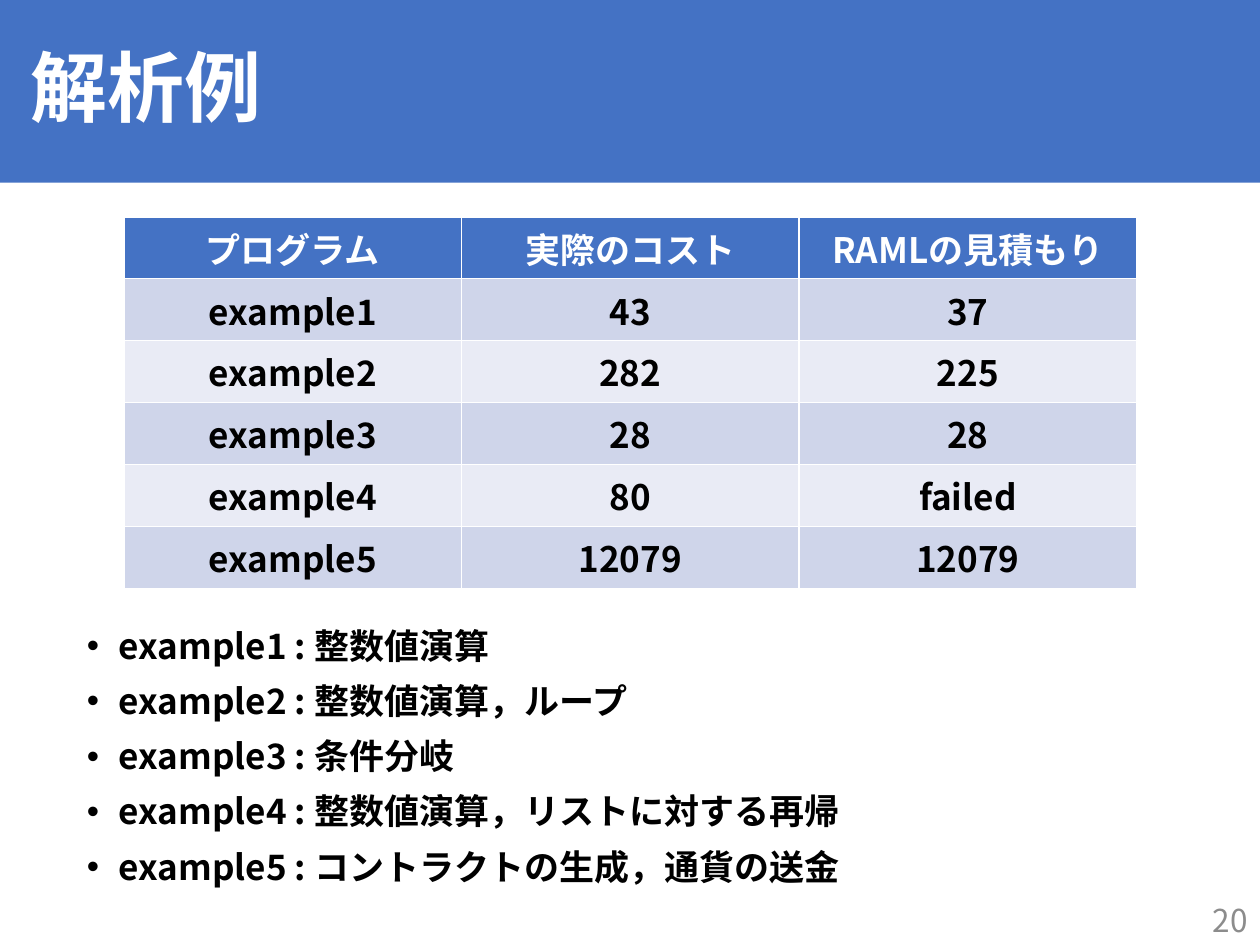
from lxml import etree
from pptx import Presentation
from pptx.dml.color import RGBColor
from pptx.enum import text
from pptx.oxml.ns import qn
from pptx.util import Pt

FONT = "Noto Sans CJK JP"
BLUE = RGBColor(0x44, 0x72, 0xC4)
BAND_DARK = RGBColor(0xCF, 0xD5, 0xEA)
BAND_LIGHT = RGBColor(0xE9, 0xEB, 0xF5)
WHITE = RGBColor(0xFF, 0xFF, 0xFF)
BLACK = RGBColor(0, 0, 0)
GRAY = RGBColor(0x8C, 0x8C, 0x8C)


def place(sp, left, top, width, height):
    sp.left, sp.top, sp.width, sp.height = Pt(left), Pt(top), Pt(width), Pt(height)


def style(p, size, color, bold, align):
    p.alignment = align
    for r in p.runs:
        r.font.size = Pt(size)
        r.font.bold = bold
        r.font.color.rgb = color
        r.font.name = FONT
        ea = etree.SubElement(r.font._element, qn("a:ea"))
        ea.set("typeface", FONT)


prs = Presentation()
prs.slide_width, prs.slide_height = Pt(720), Pt(540)
s = prs.slides.add_slide(prs.slide_layouts[1])

title = s.shapes.title
place(title, 0, 0, 720, 104.4)
title.fill.solid()
title.fill.fore_color.rgb = BLUE
tf = title.text_frame
tf.text = " 解析例"
tf.auto_size = text.MSO_AUTO_SIZE.NONE
tf.vertical_anchor = text.MSO_ANCHOR.MIDDLE
tf.paragraphs[0].line_spacing = 0.9
style(tf.paragraphs[0], 44, WHITE, True, text.PP_ALIGN.LEFT)

rows = [
    ("プログラム", "実際のコスト", "RAMLの見積もり"),
    ("example1", "43", "37"),
    ("example2", "282", "225"),
    ("example3", "28", "28"),
    ("example4", "80", "failed"),
    ("example5", "12079", "12079"),
]
table = s.shapes.add_table(
    len(rows), 3, Pt(70.8), Pt(123.9), Pt(578.7), Pt(212.4)
).table
for i, row in enumerate(rows):
    fill = BLUE if i == 0 else BAND_DARK if i % 2 else BAND_LIGHT
    for j, value in enumerate(row):
        cell = table.cell(i, j)
        cell.text = value
        cell.fill.solid()
        cell.fill.fore_color.rgb = fill
        cell.vertical_anchor = text.MSO_ANCHOR.MIDDLE
        cell.margin_left = cell.margin_right = Pt(5.3)
        cell.margin_top = cell.margin_bottom = Pt(2.65)
        style(cell.text_frame.paragraphs[0], 20, BLACK if i else WHITE, True,
              text.PP_ALIGN.CENTER)

notes = [
    "整数値演算",
    "整数値演算，ループ",
    "条件分岐",
    "整数値演算，リストに対する再帰",
    "コントラクトの生成，通貨の送金",
]
body = s.placeholders[1]
place(body, 42.5, 355.7, 637.2, 163.4)
tf = body.text_frame
tf.text = "\n".join(f"example{n} : {note}" for n, note in enumerate(notes, 1))
tf.auto_size = text.MSO_AUTO_SIZE.NONE
for p in tf.paragraphs:
    p.line_spacing = 0.9
    p.space_before = Pt(10)
    style(p, 20, BLACK, True, text.PP_ALIGN.LEFT)
    pPr = p._p.get_or_add_pPr()
    pPr.set("marL", str(Pt(18)))
    pPr.set("indent", str(Pt(-18)))
    etree.SubElement(pPr, qn("a:buFont")).set("typeface", "Arial")
    etree.SubElement(pPr, qn("a:buChar")).set("char", "•")

number = s.shapes.add_textbox(Pt(558), Pt(511.2), Pt(162), Pt(28.8))
tf = number.text_frame
tf.word_wrap = True
tf.text = "20"
tf.vertical_anchor = text.MSO_ANCHOR.MIDDLE
style(tf.paragraphs[0], 18, GRAY, False, text.PP_ALIGN.RIGHT)

prs.save("out.pptx")
